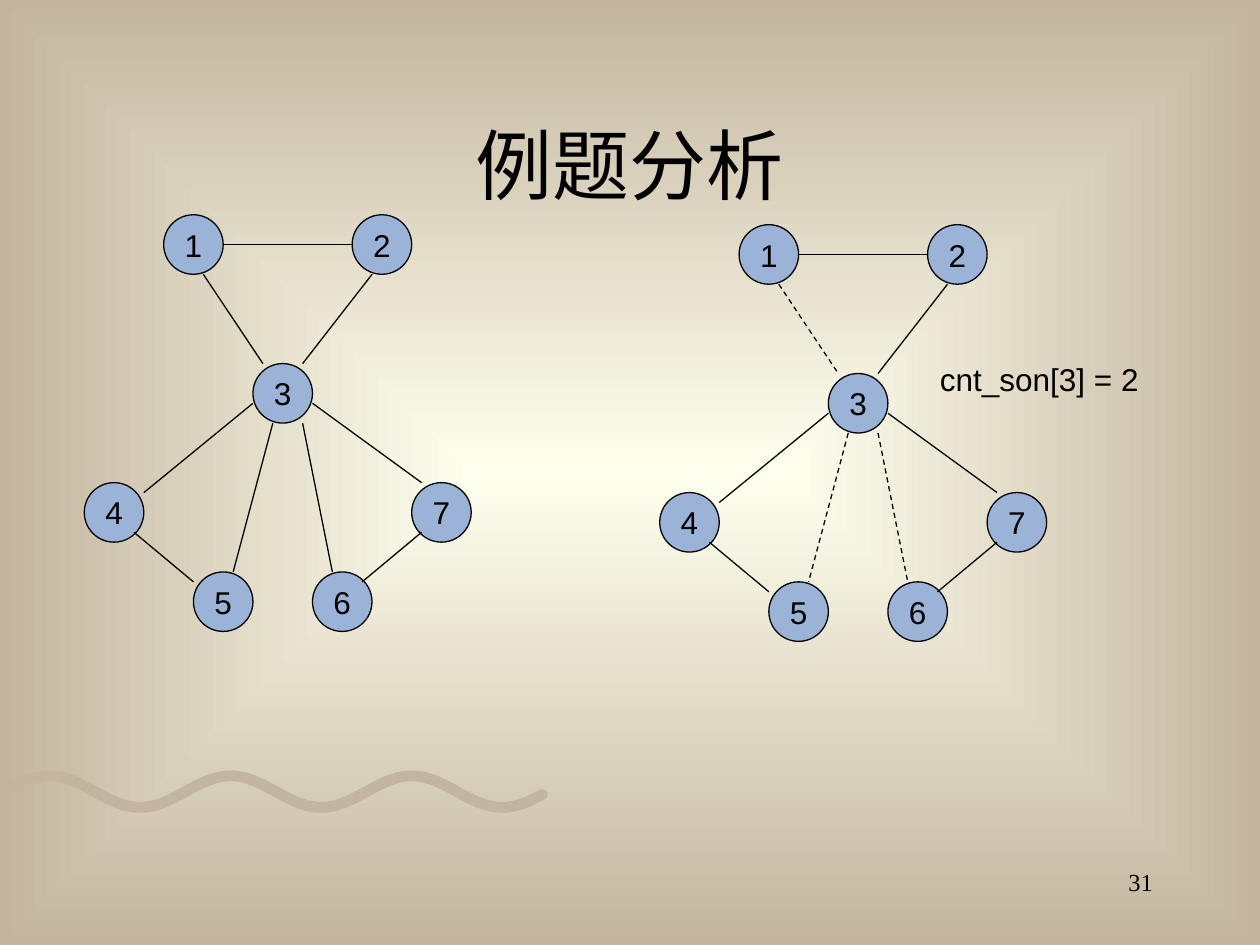
import math
from dataclasses import dataclass
from enum import Enum

from lxml import etree
from pptx import Presentation
from pptx import util as u
from pptx.dml.color import RGBColor
from pptx.enum import dml, shapes, text
from pptx.oxml import ns


@dataclass(frozen=True)
class Theme:
    ink: RGBColor = RGBColor(0x00, 0x00, 0x00)
    node: RGBColor = RGBColor(0x9C, 0xB3, 0xD8)
    glow: RGBColor = RGBColor(0xFF, 0xFF, 0xEE)
    sand: RGBColor = RGBColor(0xC3, 0xB5, 0x9F)
    title_font: str = "DejaVu Sans"
    body_font: str = "Arial"
    number_font: str = "Times New Roman"
    title_size: int = 44
    body_size: int = 18
    number_size: int = 14
    line_width: float = 0.75


class Port(Enum):
    TOP_FAR_LEFT = (0.2, 0)
    TOP_LEFT = (0.4, 0)
    TOP_RIGHT = (0.8, 0)
    TOP_FAR_RIGHT = (1, 0)
    LEFT_HIGH = (0, 0.2)
    LEFT = (0, 0.6)
    LEFT_LOW = (0, 0.8)
    RIGHT_HIGH = (1.2, 0.2)
    RIGHT = (1.2, 0.6)
    RIGHT_LOW = (1.2, 0.8)
    BOTTOM_LEFT = (0.4, 1.2)
    BOTTOM_RIGHT = (0.8, 1.2)
    BOTTOM_FAR_RIGHT = (1, 1.2)
    UPPER_RIGHT_CORNER = (1, 0.2)
    LOWER_LEFT_CORNER = (0.2, 1)
    LOWER_RIGHT_CORNER = (1, 1)


@dataclass(frozen=True)
class Edge:
    start: str
    start_port: Port
    finish: str
    finish_port: Port
    optional: bool = False


@dataclass(frozen=True)
class Graph:
    left: float
    top: float
    dashed: bool


@dataclass(frozen=True)
class Label:
    content: str
    box: tuple[float, float, float, float]
    font: str
    size: int
    alignment: text.PP_ALIGN
    wrap: bool


@dataclass(frozen=True)
class Wave:
    first_crest: float = 1
    length: float = 3.65
    amplitude: float = 0.32
    middle: float = 15.96
    half_thickness: float = 0.11
    end: float = 10.93
    steps: int = 60
    cap_steps: int = 8

    def normal_angle(self, x: float) -> float:
        turn = math.tau / self.length
        slope = self.amplitude * turn * math.sin(turn * (x - self.first_crest))
        return math.atan2(-1, slope)

    def rim(self, x: float, turn: float) -> tuple[float, float]:
        phase = math.tau * (x - self.first_crest) / self.length
        center = self.middle - self.amplitude * math.cos(phase)
        angle = self.normal_angle(x) + turn
        return (max(0, x + self.half_thickness * math.cos(angle)),
                center + self.half_thickness * math.sin(angle))

    def outline(self) -> list[tuple[float, float]]:
        stations = [self.end * step / self.steps for step in range(self.steps + 1)]
        upper = [self.rim(x, 0) for x in stations]
        cap = [self.rim(self.end, math.pi * step / self.cap_steps)
               for step in range(1, self.cap_steps)]
        lower = [self.rim(x, math.pi) for x in reversed(stations)]
        return upper + cap + lower


THEME = Theme()
DIAMETER = 1.2
NODES = {
    "1": (1.6, 0), "2": (5.4, 0),
    "3": (3.4, 3),
    "4": (0, 5.4), "7": (6.6, 5.4),
    "5": (2.2, 7.2), "6": (4.6, 7.2),
}
EDGES = [
    Edge("1", Port.RIGHT, "2", Port.LEFT),
    Edge("1", Port.BOTTOM_RIGHT, "3", Port.TOP_FAR_LEFT, optional=True),
    Edge("2", Port.BOTTOM_LEFT, "3", Port.TOP_FAR_RIGHT),
    Edge("4", Port.RIGHT_HIGH, "3", Port.LEFT_LOW),
    Edge("3", Port.BOTTOM_LEFT, "5", Port.TOP_RIGHT, optional=True),
    Edge("5", Port.LEFT_HIGH, "4", Port.LOWER_RIGHT_CORNER),
    Edge("3", Port.BOTTOM_FAR_RIGHT, "6", Port.TOP_LEFT, optional=True),
    Edge("3", Port.RIGHT_LOW, "7", Port.TOP_FAR_LEFT),
    Edge("7", Port.LOWER_LEFT_CORNER, "6", Port.UPPER_RIGHT_CORNER),
]
GRAPHS = [Graph(1.7, 4.33, dashed=False), Graph(13.3, 4.53, dashed=True)]
LABELS = [
    Label("cnt_son[3] = 2", (18.7, 7.13, 4.6, 1.02), THEME.body_font,
          THEME.body_size, text.PP_ALIGN.LEFT, wrap=False),
    Label("31", (18.2, 17.35, 5.29, 1.27), THEME.number_font,
          THEME.number_size, text.PP_ALIGN.RIGHT, wrap=True),
]


def apply(target, values: dict) -> None:
    for name, value in values.items():
        setattr(target, name, value)


def fill_shape(shape, color: RGBColor) -> None:
    shape.shadow.inherit = False
    shape.fill.solid()
    shape.fill.fore_color.rgb = color


def ink_line(shape) -> None:
    shape.line.color.rgb = THEME.ink
    shape.line.width = u.Pt(THEME.line_width)


def write(shape, content: str, font: str, size: int,
          alignment: text.PP_ALIGN, frame_format: dict) -> None:
    frame = shape.text_frame
    apply(frame, frame_format)
    paragraph = frame.paragraphs[0]
    paragraph.alignment = alignment
    run = paragraph.add_run()
    run.text = content
    apply(run.font, {"name": font, "size": u.Pt(size)})
    run.font.color.rgb = THEME.ink


def paint_background(slide) -> None:
    fill = slide.background.fill
    fill.gradient()
    for stop, color in zip(fill.gradient_stops, (THEME.glow, THEME.sand)):
        stop.color.rgb = color
    linear = slide.element.find(".//" + ns.qn("a:lin"))
    rectangular = etree.Element(ns.qn("a:path"), {"path": "rect"})
    etree.SubElement(rectangular, ns.qn("a:fillToRect"), dict.fromkeys("ltrb", "50000"))
    linear.getparent().replace(linear, rectangular)


def draw_wave(slide, wave: Wave) -> None:
    start, *rest = [(u.Cm(x), u.Cm(y)) for x, y in wave.outline()]
    builder = slide.shapes.build_freeform(*start)
    builder.add_line_segments(rest, close=True)
    shape = builder.convert_to_shape()
    fill_shape(shape, THEME.sand)
    shape.line.fill.background()
    slide.shapes.element.insert(2, shape.element)


def draw_title(slide) -> None:
    title = slide.shapes.title
    apply(title, {"left": u.Cm(1.9), "top": u.Cm(1.7),
                  "width": u.Cm(21.6), "height": u.Cm(3.18)})
    write(title, "例题分析", THEME.title_font, THEME.title_size,
          text.PP_ALIGN.CENTER,
          {"vertical_anchor": text.MSO_ANCHOR.MIDDLE,
           "auto_size": text.MSO_AUTO_SIZE.NONE})


def position(graph: Graph, name: str, offset: tuple[float, float] = (0, 0)) -> list[u.Cm]:
    return [u.Cm(sum(parts))
            for parts in zip((graph.left, graph.top), NODES[name], offset)]


def draw_node(slide, graph: Graph, name: str) -> None:
    shape = slide.shapes.add_shape(
        shapes.MSO_SHAPE.OVAL, *position(graph, name), u.Cm(DIAMETER), u.Cm(DIAMETER))
    fill_shape(shape, THEME.node)
    ink_line(shape)
    write(shape, name, THEME.body_font, THEME.body_size, text.PP_ALIGN.CENTER,
          {"vertical_anchor": text.MSO_ANCHOR.MIDDLE, "word_wrap": False})


def draw_edge(slide, graph: Graph, edge: Edge) -> None:
    connector = slide.shapes.add_connector(
        shapes.MSO_CONNECTOR.STRAIGHT,
        *position(graph, edge.start, edge.start_port.value),
        *position(graph, edge.finish, edge.finish_port.value))
    ink_line(connector)
    if graph.dashed and edge.optional:
        connector.line.dash_style = dml.MSO_LINE.DASH
    etree.SubElement(connector.element.spPr, ns.qn("a:effectLst"))


def draw_graph(slide, graph: Graph) -> None:
    for name in NODES:
        draw_node(slide, graph, name)
    for edge in EDGES:
        draw_edge(slide, graph, edge)


def draw_label(slide, label: Label) -> None:
    shape = slide.shapes.add_textbox(*map(u.Cm, label.box))
    write(shape, label.content, label.font, label.size, label.alignment,
          {"word_wrap": label.wrap})


def main() -> None:
    presentation = Presentation()
    apply(presentation, {"slide_width": u.Cm(25.4), "slide_height": u.Cm(19.05)})
    slide = presentation.slides.add_slide(presentation.slide_layouts[5])
    paint_background(slide)
    draw_wave(slide, Wave())
    draw_title(slide)
    for graph in GRAPHS:
        draw_graph(slide, graph)
    for label in LABELS:
        draw_label(slide, label)
    presentation.save("out.pptx")


if __name__ == "__main__":
    main()
